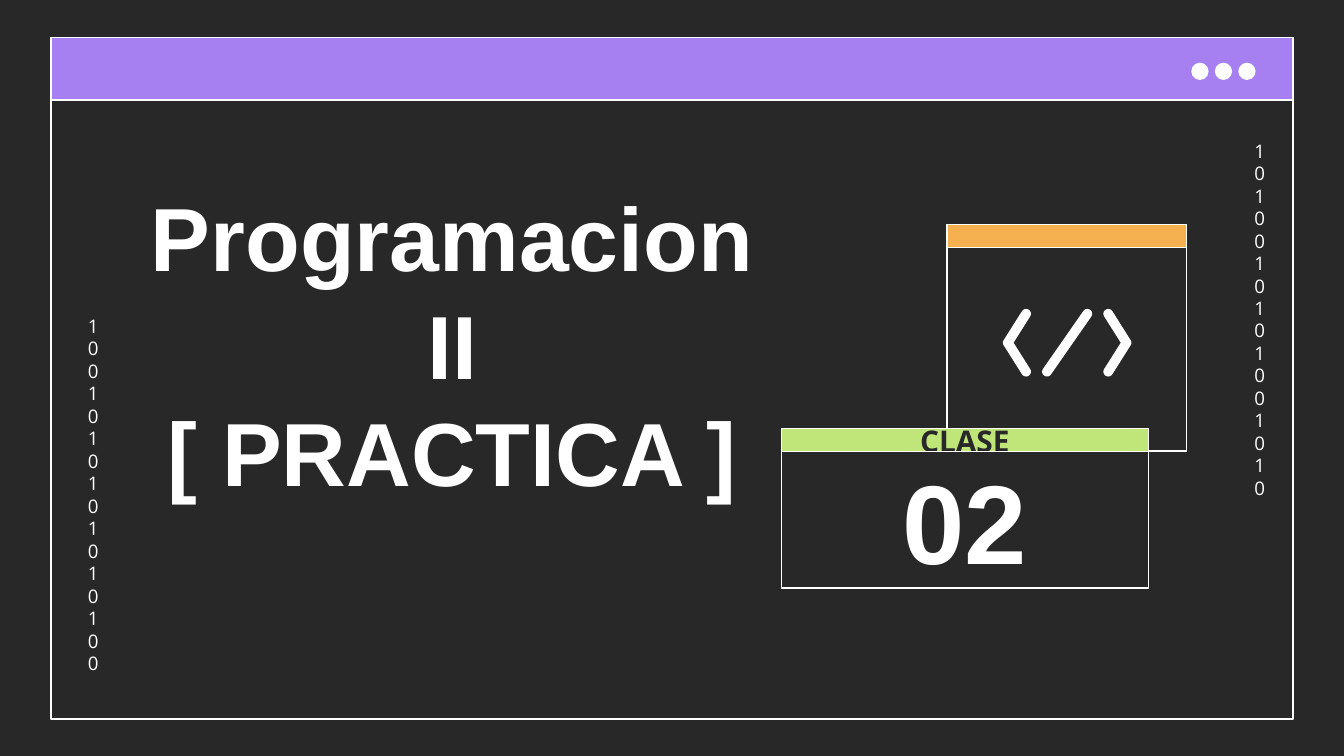
from math import atan2, cos, degrees, radians, sin

from pptx import Presentation
from pptx.dml.color import RGBColor as RGB
from pptx.enum.shapes import MSO_SHAPE as SHAPE
from pptx.enum.text import MSO_ANCHOR as ANCHOR, PP_ALIGN as ALIGN
from pptx.util import Pt

COLORS = {
    "dark": "292828",
    "white": "FFFFFF",
    "purple": "A67FF1",
    "orange": "F5B150",
    "green": "C0E67A",
}
DIGITS = {"name": "Open Sans", "size": Pt(10)}
TITLE = {"name": "Arial", "size": Pt(48), "bold": True}
LABEL = {"name": "Open Sans", "size": Pt(16), "bold": True}
NUMBER = {"name": "Arial", "size": Pt(60), "bold": True}
INSET = 7.2


def arc(center, radius, start, end, steps=12):
    """Points on a circle, angles in degrees with y pointing down."""
    angles = [radians(start + (end - start) * i / steps) for i in range(steps + 1)]
    return [(center[0] + radius * cos(a), center[1] + radius * sin(a)) for a in angles]


class SlideArt:
    def __init__(self, slide):
        self.slide = slide
        self.shapes = slide.shapes

    def color(self, name):
        return RGB.from_string(COLORS[name])

    def background(self, name):
        fill = self.slide.background.fill
        fill.solid()
        fill.fore_color.rgb = self.color(name)

    def paint(self, sp, fill, line="white"):
        sp.shadow.inherit = False
        if fill:
            sp.fill.solid()
            sp.fill.fore_color.rgb = self.color(fill)
        else:
            sp.fill.background()
        if line:
            sp.line.color.rgb = self.color(line)
            sp.line.width = Pt(0.75)
        else:
            sp.line.fill.background()

    def shape(self, x, y, w, h, fill=None, kind=SHAPE.RECTANGLE):
        sp = self.shapes.add_shape(kind, Pt(x), Pt(y), Pt(w), Pt(h))
        self.paint(sp, fill)
        return sp

    def label(self, sp, text, style, color="white", anchor=ANCHOR.MIDDLE, spacing=None):
        tf = sp.text_frame
        frame = {"word_wrap": True, "vertical_anchor": anchor}
        for side in ("left", "top", "right", "bottom"):
            frame["margin_" + side] = Pt(INSET)
        for key, value in frame.items():
            setattr(tf, key, value)
        p = tf.paragraphs[0]
        p.text = text
        p.alignment = ALIGN.CENTER
        if spacing:
            p.line_spacing = Pt(spacing)
        for r in p.runs:
            for key, value in style.items():
                setattr(r.font, key, value)
            r.font.color.rgb = self.color(color)

    def text(self, x, y, w, h, text, style, spacing):
        sp = self.shapes.add_textbox(Pt(x), Pt(y), Pt(w), Pt(h))
        self.label(sp, text, style, anchor=ANCHOR.TOP, spacing=spacing)

    def window(self, x, y, w, h, bar, fill):
        """Outlined frame with a coloured title bar."""
        self.shape(x, y, w, h)
        self.shape(x, y, w, bar, fill)

    def outline(self, contours, fill):
        """One filled freeform made of several closed contours."""
        builder = None
        for contour in contours:
            points = [(Pt(x), Pt(y)) for x, y in contour]
            if builder is None:
                builder = self.shapes.build_freeform(*points[0])
            else:
                builder.move_to(*points[0])
            builder.add_line_segments(points[1:], close=True)
        self.paint(builder.convert_to_shape(), fill, line=None)

    def code_icon(self, cx, cy, radius=2.6):
        """Rounded </> sign centred on a point."""
        half = 15.5
        # Right chevron, then its mirror image
        tip_x, vertex_x = cx + 22, cx + 31.8
        turn = degrees(atan2(half, vertex_x - tip_x))
        mitre = radius / sin(radians(turn))
        right = (
            arc((tip_x, cy - half), radius, turn + 90, turn + 270)
            + arc((vertex_x, cy), radius, turn - 90, 90 - turn)
            + arc((tip_x, cy + half), radius, 90 - turn, 270 - turn)
            + [(vertex_x - mitre, cy)]
        )
        left = [(2 * cx - x, y) for x, y in right]
        # Slash
        lean = 10.8
        turn = degrees(atan2(half, -lean))
        slash = (
            arc((cx + lean, cy - half), radius, turn + 90, turn + 270)
            + arc((cx - lean, cy + half), radius, turn - 90, turn + 90)
        )
        self.outline([left, slash, right], "white")


def main():
    prs = Presentation()
    prs.slide_width, prs.slide_height = Pt(720), Pt(405)
    art = SlideArt(prs.slides.add_slide(prs.slide_layouts[6]))
    art.background("dark")

    # Main window with its three buttons
    art.window(27.4, 20.2, 665.2, 365, 33.5, "purple")
    for i in range(3):
        art.shape(638.6 + 12.6 * i, 34, 8.5, 8.5, "white", SHAPE.OVAL)

    # Binary columns, one digit per line
    for x, y, digits in (
        (664.9, 67.5, "1010010101001010"),
        (40, 161.3, "1001010101010100"),
    ):
        art.text(x, y, 17.3, 201.6, digits, DIGITS, 12.05)

    # Code window
    art.window(507.4, 120.4, 128.2, 121.3, 12.2, "orange")
    art.code_icon(571.7, 183.6)

    # Title
    art.text(66.2, 90.4, 352.1, 243.4, "Programacion II\v[ PRACTICA ]", TITLE, 57.6)

    # Class number card
    x, y, w, bar = 418.6, 229.7, 196.6, 12.2
    art.label(art.shape(x, y, w, bar, "green"), "CLASE", LABEL, "dark")
    art.label(art.shape(x, y + bar, w, 73.2), "02", NUMBER)

    prs.save("out.pptx")


if __name__ == "__main__":
    main()
